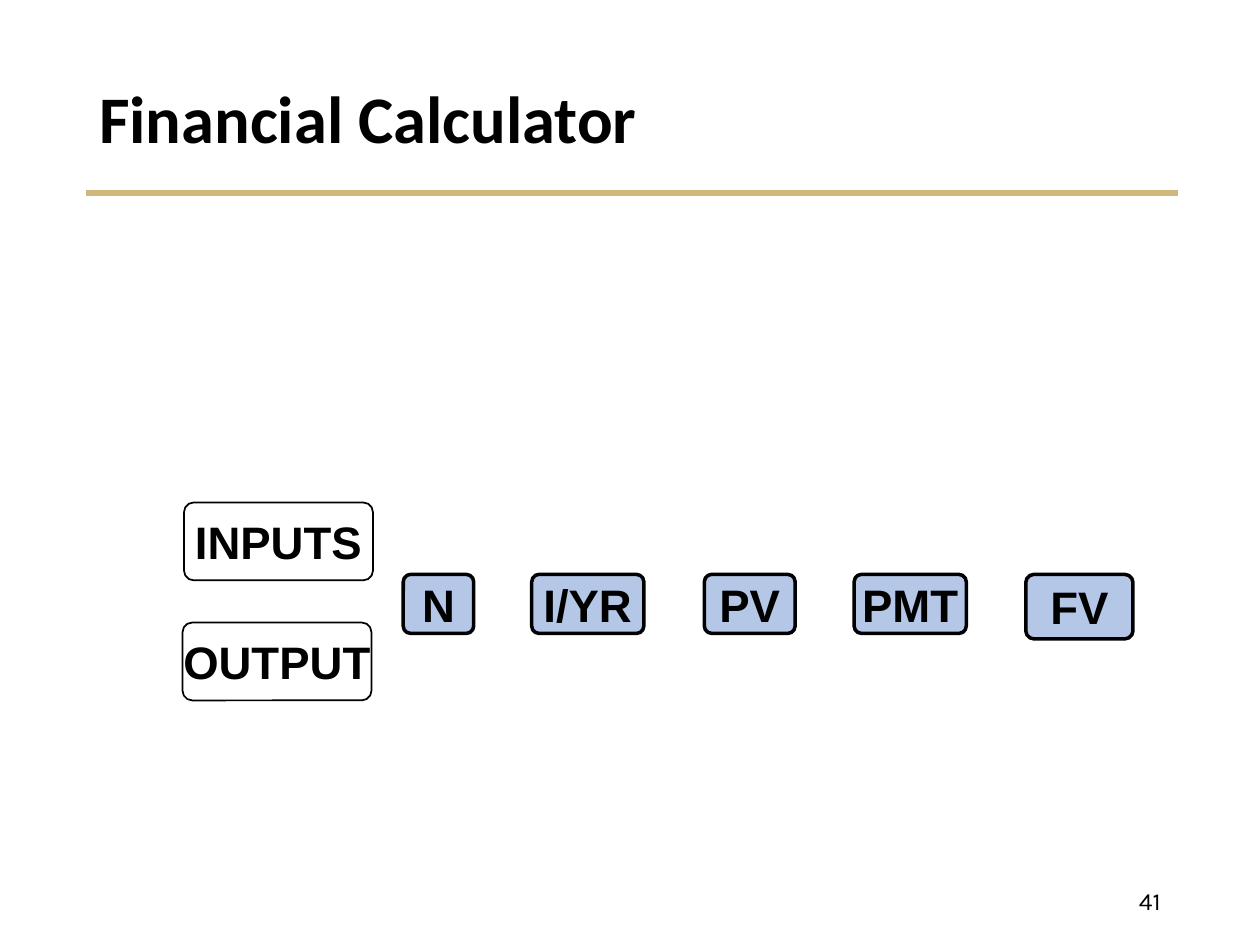
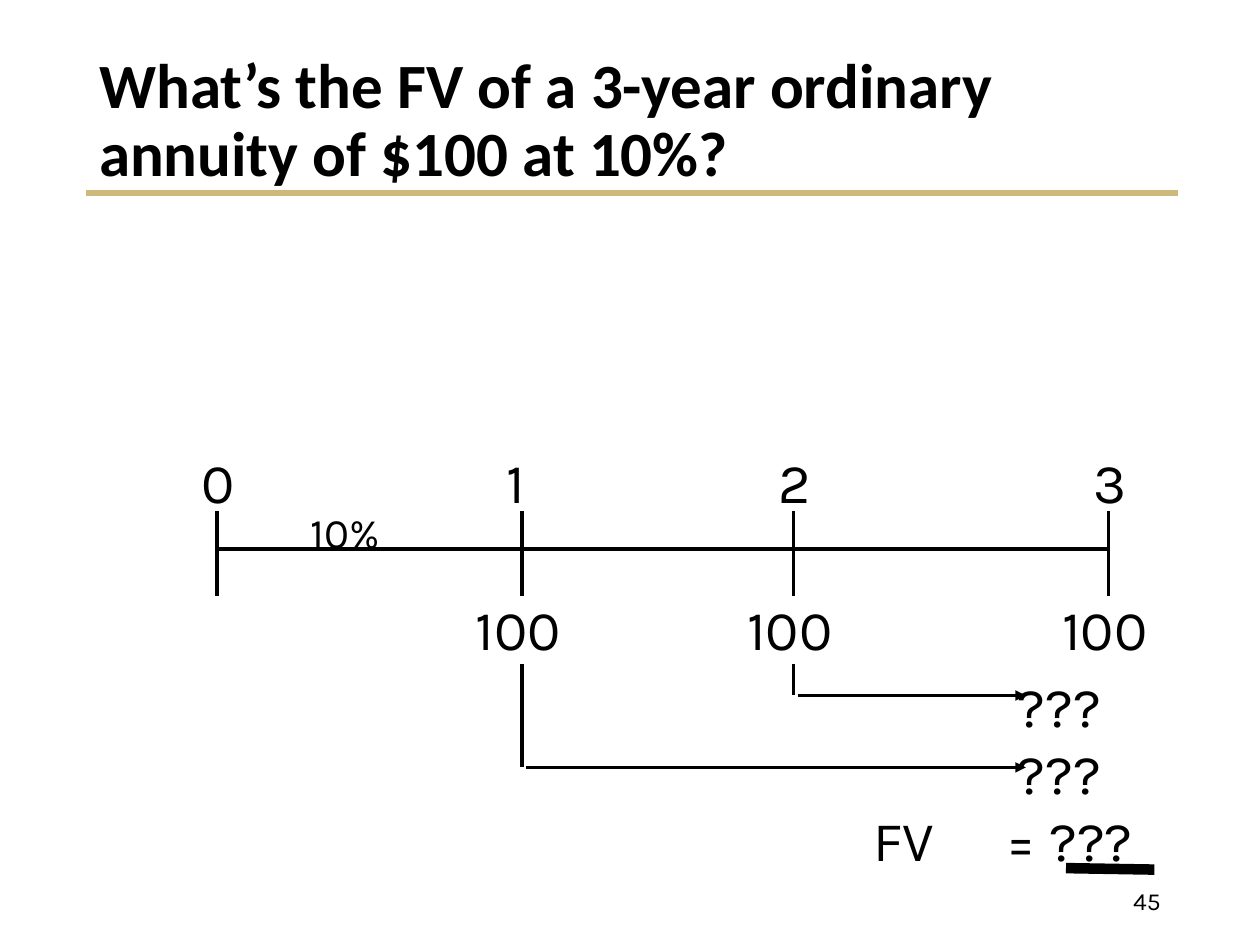
from dataclasses import dataclass
from typing import Optional

from lxml.etree import SubElement
from pptx import Presentation
from pptx.dml.color import RGBColor
from pptx.enum.shapes import MSO_CONNECTOR, MSO_SHAPE
from pptx.enum.text import MSO_ANCHOR, PP_ALIGN
from pptx.oxml.ns import qn
from pptx.util import Cm, Pt

COLOURS = {"ink": "000000", "gold": "CFB87C", "key": "B4C7E7"}

# Character formats
TITLE = {"name": "Calibri", "size": Pt(38), "bold": True}
LONG_TITLE = {**TITLE, "size": Pt(36)}
KEY_LABEL = {"name": "Arial", "size": Pt(26), "bold": True}
AMOUNT = {"name": "Karla", "size": Pt(32), "bold": False}
RATE = {**AMOUNT, "size": Pt(24)}
PAGE_NUMBER = {**AMOUNT, "size": Pt(14)}


@dataclass
class Area:
    """A rectangle in centimetres."""
    left: float
    top: float
    width: float
    height: float

    def lengths(self) -> list:
        return [Cm(v) for v in (self.left, self.top, self.width, self.height)]


@dataclass
class Key:
    """A rounded calculator key or row label."""
    label: str
    area: Area
    fill: Optional[str] = "key"
    line_width: float = 2


@dataclass
class Stroke:
    """A straight line in centimetres."""
    x1: float
    y1: float
    x2: float
    y2: float
    width: float = 2
    colour: str = "ink"
    arrow: bool = False


@dataclass
class Period:
    """A tick of the time line with its payment."""
    x: float
    number: str
    payment: str = ""
    drop_to: Optional[float] = None


def colour(name: str) -> RGBColor:
    return RGBColor.from_string(COLOURS[name])


def style_font(font, style: dict) -> None:
    for name, value in style.items():
        setattr(font, name, value)
    font.color.rgb = colour("ink")


def add_text(page, area: Area, lines: list, style: dict, wrap: bool = True,
             anchor=MSO_ANCHOR.TOP, align=PP_ALIGN.LEFT, spacing: float = 1.0):
    box = page.shapes.add_textbox(*area.lengths())
    frame = box.text_frame
    frame.word_wrap = wrap
    frame.vertical_anchor = anchor
    for index, line in enumerate(lines):
        para = frame.paragraphs[0] if index == 0 else frame.add_paragraph()
        para.alignment = align
        para.line_spacing = spacing
        span = para.add_run()
        span.text = line
        style_font(span.font, style)
    return box


def add_stroke(page, stroke: Stroke) -> None:
    ends = [Cm(v) for v in (stroke.x1, stroke.y1, stroke.x2, stroke.y2)]
    connector = page.shapes.add_connector(MSO_CONNECTOR.STRAIGHT, *ends)
    connector.line.width = Pt(stroke.width)
    connector.line.color.rgb = colour(stroke.colour)
    if stroke.arrow:
        SubElement(connector.line._get_or_add_ln(), qn("a:tailEnd"), type="triangle")
    SubElement(connector._element.spPr, qn("a:effectLst"))


def add_key(page, key: Key) -> None:
    shape = page.shapes.add_shape(MSO_SHAPE.ROUNDED_RECTANGLE, *key.area.lengths())
    shape.adjustments[0] = 0.125
    shape.shadow.inherit = False
    if key.fill:
        shape.fill.solid()
        shape.fill.fore_color.rgb = colour(key.fill)
    else:
        shape.fill.background()
    shape.line.color.rgb = colour("ink")
    shape.line.width = Pt(key.line_width)
    frame = shape.text_frame
    settings = {"word_wrap": False, "vertical_anchor": MSO_ANCHOR.MIDDLE,
                "margin_left": 0, "margin_right": 0, "margin_top": 0, "margin_bottom": 0}
    for name, value in settings.items():
        setattr(frame, name, value)
    para = frame.paragraphs[0]
    para.alignment = PP_ALIGN.CENTER
    span = para.add_run()
    span.text = key.label
    style_font(span.font, KEY_LABEL)


def add_page(deck, title: str, number: str, title_style: dict):
    """Blank page with the shared rule, title and page number."""
    page = deck.slides.add_slide(deck.slide_layouts[6])
    add_stroke(page, Stroke(1.73, 3.89, 23.75, 3.89, 3, "gold"))
    add_text(page, Area(1.75, 1.02, 21.89, 2.87), [title], title_style,
             anchor=MSO_ANCHOR.MIDDLE, spacing=0.9)
    add_text(page, Area(17.93, 17.65, 5.72, 1.02), [number], PAGE_NUMBER,
             anchor=MSO_ANCHOR.MIDDLE, align=PP_ALIGN.RIGHT)
    return page


def build_calculator(deck) -> None:
    page = add_page(deck, "Financial Calculator", "41", TITLE)
    top, height = 11.58, 1.19
    keys = [
        Key("N", Area(8.13, top, 1.42, height)),
        Key("I/YR", Area(10.72, top, 2.26, height)),
        Key("PV", Area(14.2, top, 1.83, height)),
        Key("PMT", Area(17.22, top, 2.26, height)),
        Key("FV", Area(20.68, top, 2.16, 1.3)),
        Key("INPUTS", Area(3.71, 10.13, 3.81, 1.57), None, 1),
        Key("OUTPUT", Area(3.68, 12.55, 3.81, 1.57), None, 1),
    ]
    for key in keys:
        add_key(page, key)


def build_annuity(deck) -> None:
    page = add_page(deck, "What’s the FV of a 3-year ordinary annuity of $100 at 10%?",
                    "45", LONG_TITLE)
    periods = [Period(4.37, "0"), Period(10.52, "1", "100", 15.47),
               Period(16, "2", "100", 14.02), Period(22.35, "3", "100")]

    # Time line with payments and their carry-forward arrows
    add_stroke(page, Stroke(4.42, 11.07, 22.38, 11.07))
    for period in periods:
        x, drop = period.x, period.drop_to
        add_stroke(page, Stroke(x, 10.31, x, 12.01))
        add_text(page, Area(x - 0.56, 8.89, 1.12, 1.6), [period.number], AMOUNT, wrap=False)
        if period.payment:
            add_text(page, Area(x - 1.18, 11.86, 2.36, 1.6), [period.payment], AMOUNT, wrap=False)
        if drop:
            add_stroke(page, Stroke(x, 13.39, x, drop))
            add_stroke(page, Stroke(x + 0.08, drop, 20.68, drop, arrow=True))
    add_text(page, Area(6.02, 10.08, 2.26, 1.27), ["10%"], RATE, wrap=False)

    # Future values and their total
    sums = add_text(page, Area(17.35, 13.41, 7.11, 4.34), ["???", "???", "FV\t= ???"], AMOUNT)
    *values, total = sums.text_frame.paragraphs
    for para in values:
        para._p.get_or_add_pPr().set("marL", str(Cm(2.92)))
    tabs = SubElement(total._p.get_or_add_pPr(), qn("a:tabLst"))
    SubElement(tabs, qn("a:tab"), pos=str(Cm(2.69)), algn="l")
    add_stroke(page, Stroke(21.49, 17.5, 23.27, 17.53, 6))


def main() -> None:
    deck = Presentation()
    deck.slide_width, deck.slide_height = Cm(25.4), Cm(19.05)
    build_calculator(deck)
    build_annuity(deck)
    deck.save("out.pptx")


if __name__ == "__main__":
    main()
